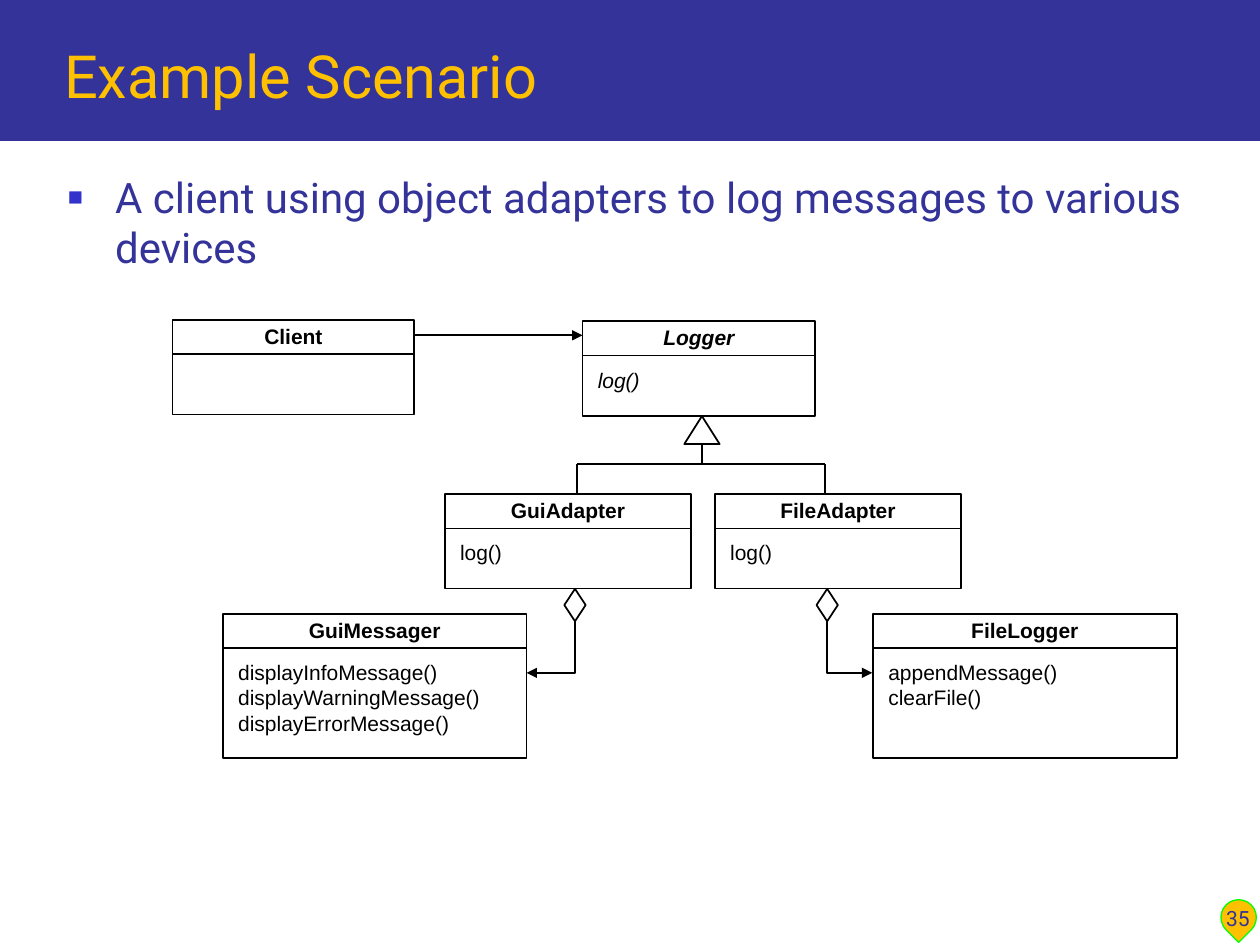
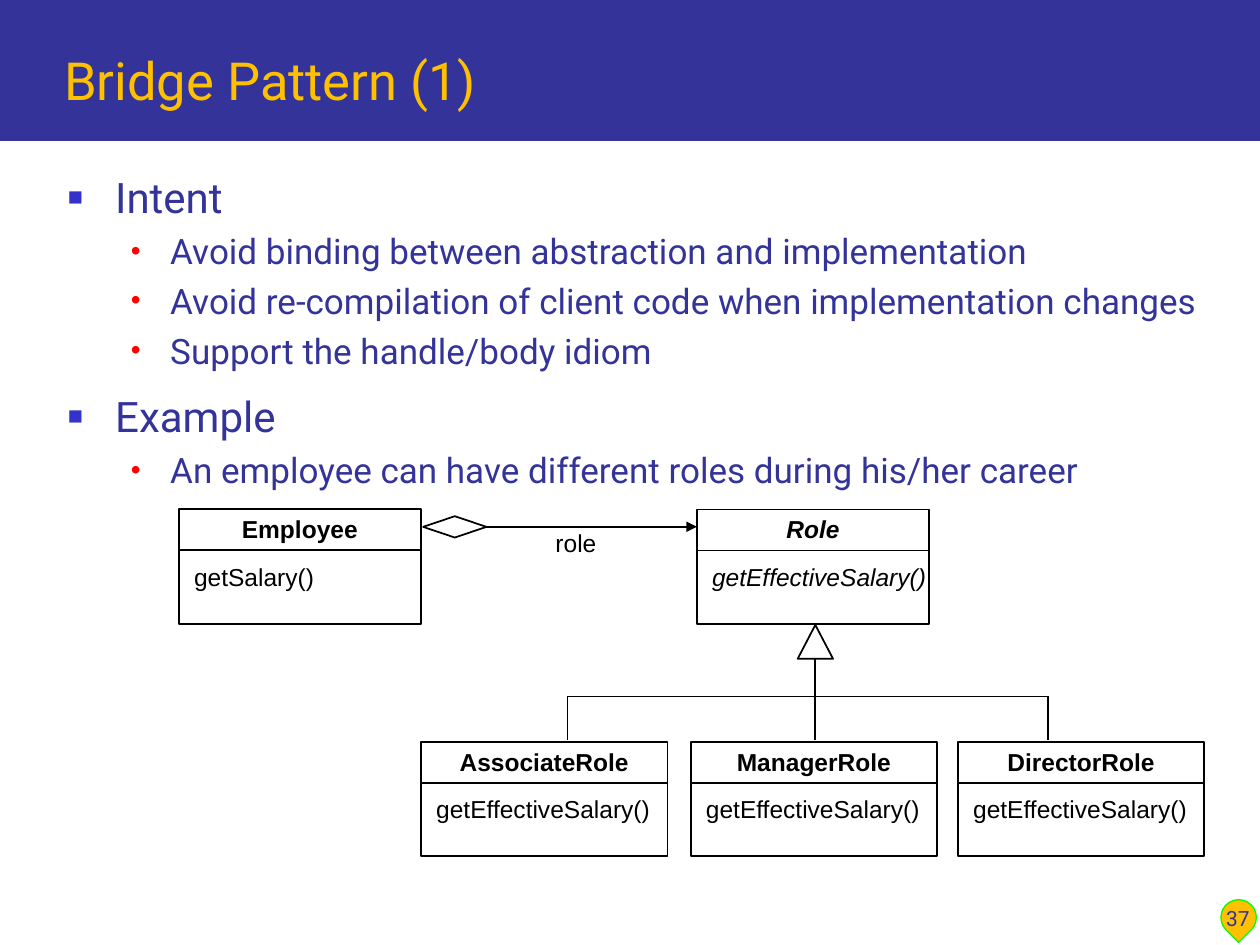
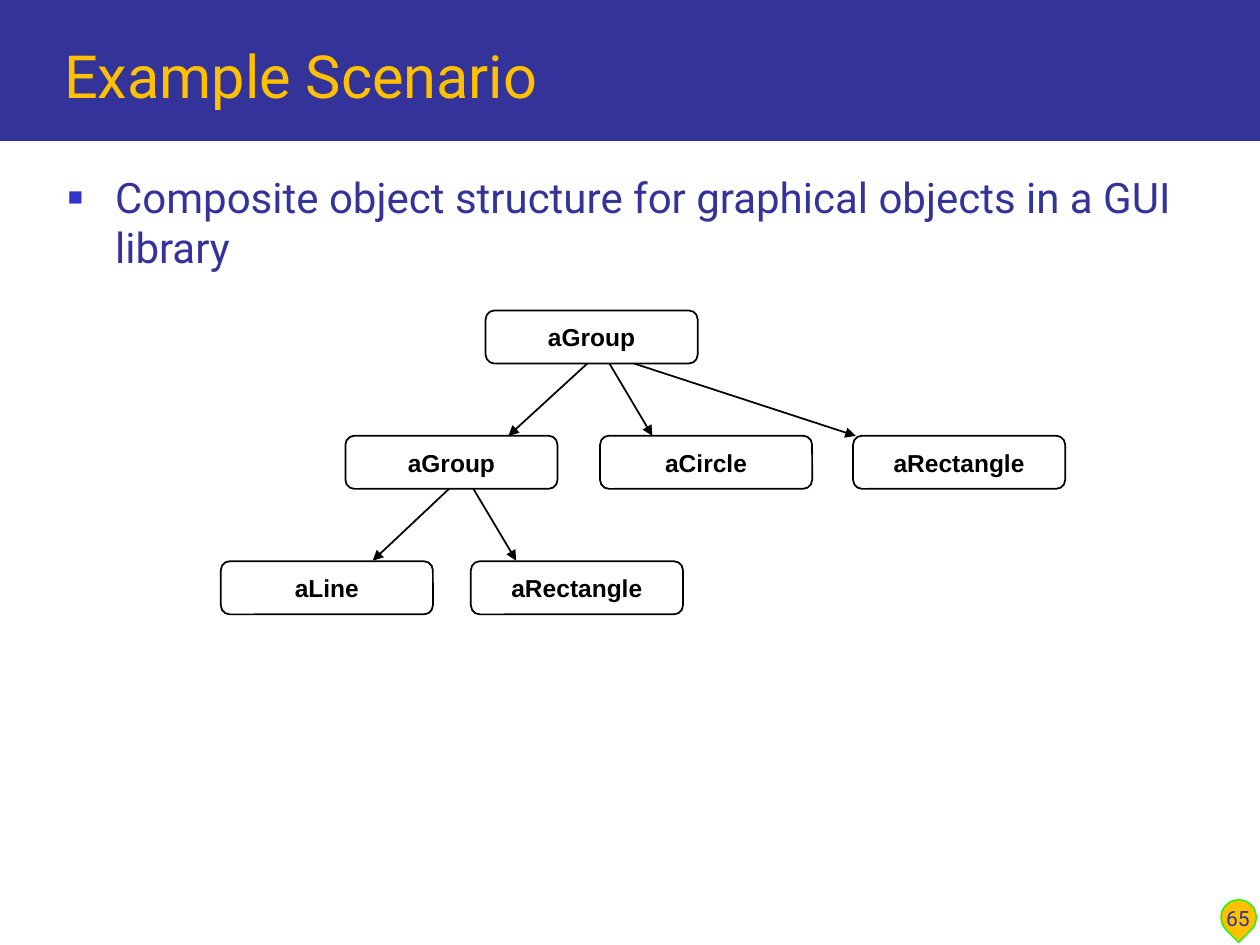
from dataclasses import dataclass
from typing import Any, NamedTuple

from lxml import etree
from pptx import Presentation
from pptx.dml.color import RGBColor
from pptx.enum import shapes, text
from pptx.oxml import ns
from pptx.util import Pt

NAVY = RGBColor(0x33, 0x33, 0x99)
AMBER = RGBColor(0xFF, 0xC0, 0x00)
LIME = RGBColor(0x00, 0xFF, 0x00)
BLUE = RGBColor(0x33, 0x33, 0xCC)
RED = RGBColor(0xFF, 0x00, 0x00)
BLACK = RGBColor(0x00, 0x00, 0x00)
WHITE = RGBColor(0xFF, 0xFF, 0xFF)

SLIDE_FONT = "Roboto"
DIAGRAM_FONT = "Arial"
TITLE_ONLY = 5

Shape = shapes.MSO_SHAPE
Align = text.PP_ALIGN
Anchor = text.MSO_ANCHOR


class Box(NamedTuple):
    left: float
    top: float
    width: float
    height: float

    def lengths(self) -> list[int]:
        return [Pt(v) for v in self]


class Point(NamedTuple):
    x: float
    y: float


class Level(NamedTuple):
    size: float
    margin: float
    hanging: float
    before: float
    bullet: str
    bullet_color: RGBColor
    bullet_percent: int


@dataclass(frozen=True)
class ClassBox:
    name: str
    box: Box
    methods: tuple[str, ...] = ()
    abstract: bool = False


@dataclass(frozen=True)
class DiagramStyle:
    size: float
    name_height: float


LEVELS = (
    Level(24, 27, 27, 11, "■", BLUE, 60),
    Level(20, 58.5, 22.5, 4.5, "•", RED, 80),
)
SMALL = DiagramStyle(size=12, name_height=19.6)
LARGE = DiagramStyle(size=14, name_height=23.4)

BAND = Box(0, 0, 720, 80.6)
TITLE = Box(29.5, 12.2, 673.2, 54.7)
BODY = Box(31.7, 94.3, 668.2, 388.8)
BADGE = Box(697.7, 514.1, 20.2, 20.2)
NUMBER = Box(686.9, 499.7, 41, 36)


def format_font(font: Any, size: float, name: str = DIAGRAM_FONT, color: RGBColor = BLACK,
                bold: bool = False, italic: bool = False) -> None:
    font.size, font.name, font.bold, font.italic = Pt(size), name, bold, italic
    font.color.rgb = color


def fill_text(sp: Any, lines: tuple[str, ...], *, align: Any = Align.LEFT,
              anchor: Any = Anchor.TOP, wrap: bool = True, inset: Point = Point(7.2, 3.6),
              **font: Any) -> None:
    tf = sp.text_frame
    tf.word_wrap, tf.vertical_anchor = wrap, anchor
    tf.auto_size = text.MSO_AUTO_SIZE.NONE
    tf.margin_left = tf.margin_right = Pt(inset.x)
    tf.margin_top = tf.margin_bottom = Pt(inset.y)
    for i, line in enumerate(lines):
        p = tf.paragraphs[0] if i == 0 else tf.add_paragraph()
        p.alignment = align
        r = p.add_run()
        r.text = line
        format_font(r.font, **font)


def add_text(slide: Any, box: Box, *lines: str, **style: Any) -> None:
    fill_text(slide.shapes.add_textbox(*box.lengths()), lines, **style)


def add_shape(slide: Any, kind: Any, box: Box, fill: RGBColor = WHITE,
              line: RGBColor | None = BLACK, width: float = 1) -> Any:
    sp = slide.shapes.add_shape(kind, *box.lengths())
    sp.shadow.inherit = False
    sp.fill.solid()
    sp.fill.fore_color.rgb = fill
    if line is None:
        sp.line.fill.background()
    else:
        sp.line.color.rgb, sp.line.width = line, Pt(width)
    return sp


def style_line(sp: Any, arrow: bool) -> None:
    sp.line.color.rgb, sp.line.width = BLACK, Pt(1)
    if arrow:
        etree.SubElement(sp.line._get_or_add_ln(), ns.qn("a:tailEnd"), type="triangle")


def add_line(slide: Any, start: Point, end: Point, arrow: bool = False) -> None:
    cx = slide.shapes.add_connector(shapes.MSO_CONNECTOR.STRAIGHT,
                                    *(Pt(v) for v in (*start, *end)))
    style_line(cx, arrow)
    etree.SubElement(cx._element.spPr, ns.qn("a:effectLst"))


def add_bent_arrow(slide: Any, start: Point, end: Point) -> None:
    """Go down from start, then sideways to end."""
    builder = slide.shapes.build_freeform(Pt(start.x), Pt(start.y))
    builder.add_line_segments([(Pt(start.x), Pt(end.y)), (Pt(end.x), Pt(end.y))], close=False)
    sp = builder.convert_to_shape()
    sp.shadow.inherit = False
    sp.fill.background()
    style_line(sp, arrow=True)


def add_class(slide: Any, item: ClassBox, style: DiagramStyle) -> None:
    left, top, width, _ = item.box
    divider = top + style.name_height
    add_shape(slide, Shape.RECTANGLE, item.box)
    add_line(slide, Point(left, divider), Point(left + width, divider))
    add_text(slide, Box(left, top - 0.7, width, style.name_height), item.name,
             size=style.size, bold=True, italic=item.abstract, align=Align.CENTER,
             anchor=Anchor.MIDDLE, inset=Point(6.5, 0))
    if item.methods:
        height = 6 + 1.15 * style.size * len(item.methods)
        add_text(slide, Box(left + 2.2, divider + 3.6, width, height), *item.methods,
                 size=style.size, italic=item.abstract, wrap=False, inset=Point(6.5, 3))


def add_inheritance(slide: Any, triangle: Box, bus_y: float, children: tuple[Point, ...]) -> None:
    """Join a parent's triangle to the top of each child by a shared bus."""
    x = triangle.left + triangle.width / 2
    add_shape(slide, Shape.ISOSCELES_TRIANGLE, triangle)
    add_line(slide, Point(x, triangle.top + triangle.height), Point(x, bus_y))
    add_line(slide, Point(children[0].x, bus_y), Point(children[-1].x, bus_y))
    for child in children:
        add_line(slide, Point(child.x, bus_y), child)


def add_bullets(slide: Any, items: tuple[tuple[int, str], ...]) -> None:
    tf = slide.shapes.add_textbox(*BODY.lengths()).text_frame
    tf.word_wrap = True
    for i, (depth, line) in enumerate(items):
        level = LEVELS[depth]
        p = tf.paragraphs[0] if i == 0 else tf.add_paragraph()
        p.level = depth
        pPr = p._p.get_or_add_pPr()
        pPr.set("marL", str(Pt(level.margin)))
        pPr.set("indent", str(-Pt(level.hanging)))
        color = etree.SubElement(pPr, ns.qn("a:buClr"))
        etree.SubElement(color, ns.qn("a:srgbClr"), val=str(level.bullet_color))
        etree.SubElement(pPr, ns.qn("a:buSzPct"), val=str(level.bullet_percent * 1000))
        etree.SubElement(pPr, ns.qn("a:buFont"), typeface=DIAGRAM_FONT)
        etree.SubElement(pPr, ns.qn("a:buChar"), char=level.bullet)
        p.space_before = Pt(level.before if i else 0)
        r = p.add_run()
        r.text = line
        format_font(r.font, level.size, SLIDE_FONT, NAVY)


def add_slide(prs: Any, title: str, number: int, bullets: tuple[tuple[int, str], ...],
              title_size: float = 34) -> Any:
    slide = prs.slides.add_slide(prs.slide_layouts[TITLE_ONLY])
    band = add_shape(slide, Shape.RECTANGLE, BAND, NAVY, None)
    slide.shapes._spTree.insert(2, band._element)
    sp = slide.shapes.title
    sp.left, sp.top, sp.width, sp.height = TITLE.lengths()
    fill_text(sp, (title,), anchor=Anchor.BOTTOM, size=title_size, name=SLIDE_FONT, color=AMBER)
    add_bullets(slide, bullets)
    badge = add_shape(slide, Shape.TEAR, BADGE, AMBER, LIME, 0.75)
    badge.rotation = 135
    add_text(slide, NUMBER, str(number), size=12, name=SLIDE_FONT, color=NAVY,
             align=Align.CENTER, anchor=Anchor.BOTTOM)
    return slide


def add_adapter_slide(prs: Any) -> None:
    slide = add_slide(prs, "Example Scenario", 35, (
        (0, "A client using object adapters to log messages to various devices"),))
    classes = (
        ClassBox("Client", Box(98.6, 182.9, 138.2, 54)),
        ClassBox("Logger", Box(332.9, 183.6, 133, 54), ("log()",), abstract=True),
        ClassBox("GuiAdapter", Box(254.2, 282.4, 140.8, 54), ("log()",)),
        ClassBox("FileAdapter", Box(408.5, 282.4, 140.8, 54), ("log()",)),
        ClassBox("GuiMessager", Box(127.4, 350.8, 173.5, 82.4),
                 ("displayInfoMessage()", "displayWarningMessage()", "displayErrorMessage()")),
        ClassBox("FileLogger", Box(498.9, 350.8, 173.5, 82.4), ("appendMessage()", "clearFile()")),
    )
    for item in classes:
        add_class(slide, item, SMALL)
    add_line(slide, Point(236.8, 191.6), Point(332.9, 191.6), arrow=True)
    add_inheritance(slide, Box(391, 237.8, 20.2, 16), 265.2,
                    (Point(329.8, 282.4), Point(471.6, 282.4)))
    for x, target in ((328.6, 300.9), (472.7, 498.4)):
        add_bent_arrow(slide, Point(x, 353.5), Point(target, 384.5))
        add_shape(slide, Shape.DIAMOND, Box(x - 6.1, 336.5, 12.2, 18.5))


def add_bridge_slide(prs: Any) -> None:
    slide = add_slide(prs, "Bridge Pattern (1)", 37, (
        (0, "Intent"),
        (1, "Avoid binding between abstraction and implementation"),
        (1, "Avoid re-compilation of client code when implementation changes"),
        (1, "Support the handle/body idiom"),
        (0, "Example"),
        (1, "An employee can have different roles during his/her career"),
    ), title_size=30)
    salary = ("getEffectiveSalary()",)
    classes = [
        ClassBox("Employee", Box(102.2, 291, 138.4, 65.5), ("getSalary()",)),
        ClassBox("Role", Box(398.2, 291.2, 132.8, 65.5), salary, abstract=True),
    ]
    for name, left in (("AssociateRole", 240.6), ("ManagerRole", 394.7), ("DirectorRole", 547.4)):
        classes.append(ClassBox(name, Box(left, 424, 140.8, 65.3), salary))
    for item in classes:
        add_class(slide, item, LARGE)
    add_line(slide, Point(278, 301), Point(398.2, 301), arrow=True)
    add_shape(slide, Shape.DIAMOND, Box(241.8, 295, 36.2, 12.2))
    add_text(slide, Box(310.3, 298.1, 37.4, 23.8), "role", size=14, wrap=False)
    add_inheritance(slide, Box(455.8, 357.1, 20.2, 19.4), 398,
                    tuple(Point(x, 422.9) for x in (324.3, 465.9, 598.8)))


def add_composite_slide(prs: Any) -> None:
    slide = add_slide(prs, "Example Scenario", 65, (
        (0, "Composite object structure for graphical objects in a GUI library"),))
    arrows = (
        (Point(337, 206.5), Point(290.5, 249.1)),
        (Point(347.5, 206.5), Point(372.8, 249.1)),
        (Point(358.5, 206.5), Point(489, 249.1)),
        (Point(257.5, 278.5), Point(213, 320.4)),
        (Point(270, 278.5), Point(295, 320.4)),
    )
    for start, end in arrows:
        add_line(slide, start, end, arrow=True)
    rows = (
        (177.4, (("aGroup", 277.5),)),
        (249, (("aGroup", 197.4), ("aCircle", 342.9), ("aRectangle", 487.5))),
        (320.7, (("aLine", 126.2), ("aRectangle", 269.1))),
    )
    for top, nodes in rows:
        for name, left in nodes:
            sp = add_shape(slide, Shape.ROUNDED_RECTANGLE, Box(left, top, 121.2, 30.4))
            sp.adjustments[0] = 0.17
            fill_text(sp, (name,), size=14, bold=True, wrap=False,
                      align=Align.CENTER, anchor=Anchor.MIDDLE)


def main() -> None:
    prs = Presentation()
    prs.slide_width, prs.slide_height = Pt(720), Pt(540)
    add_adapter_slide(prs)
    add_bridge_slide(prs)
    add_composite_slide(prs)
    prs.save("out.pptx")


if __name__ == "__main__":
    main()
